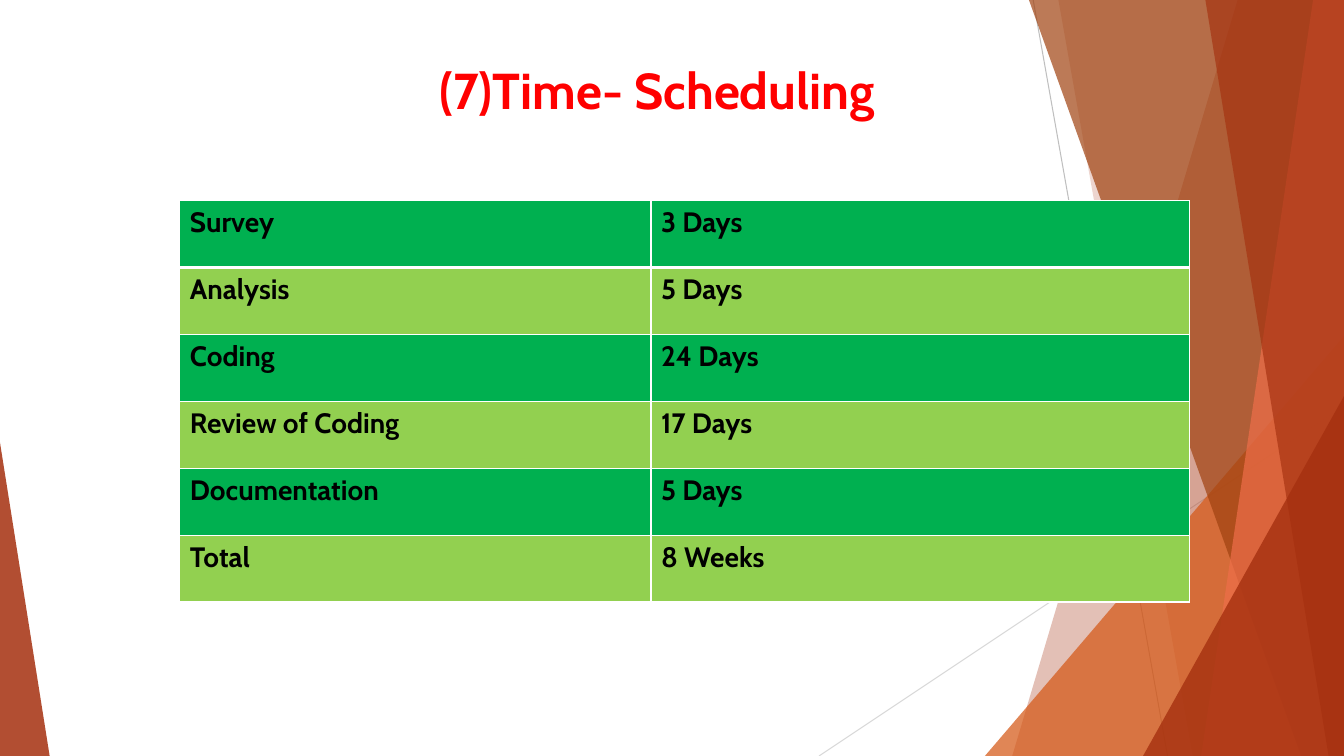
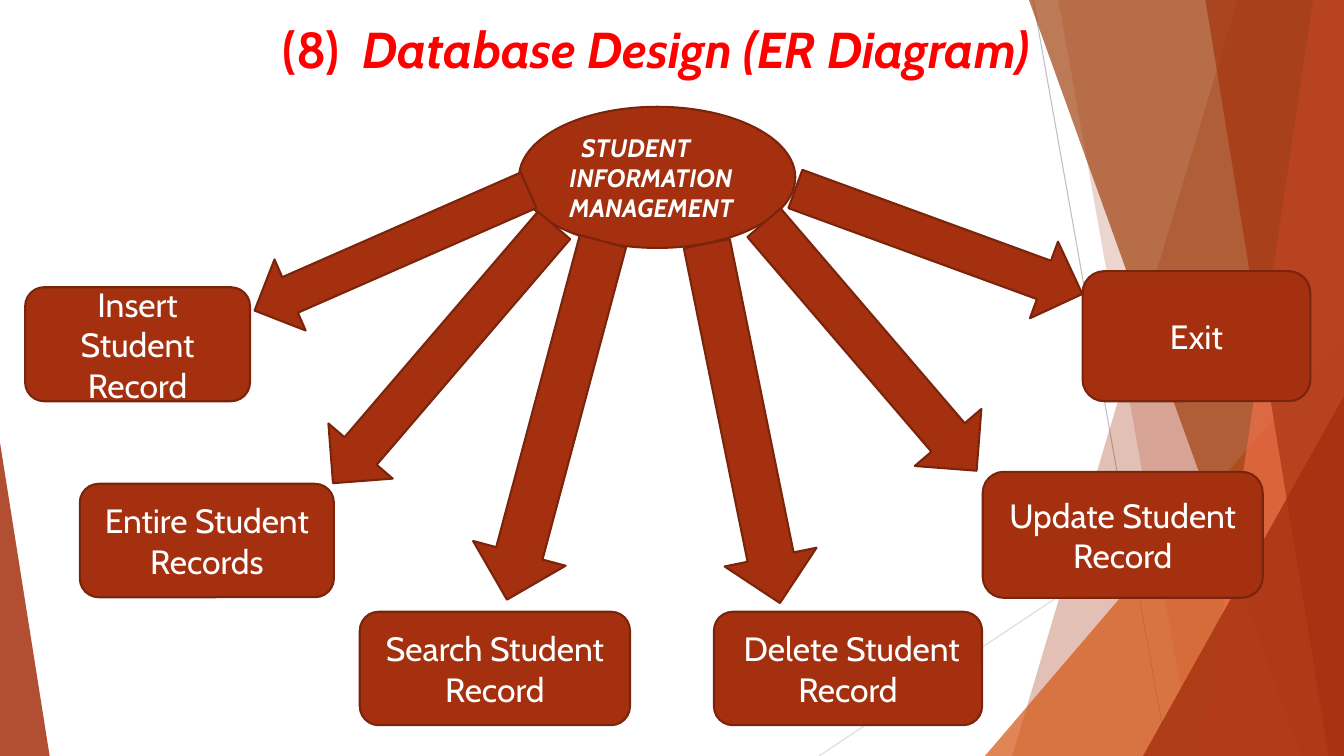
from dataclasses import dataclass
from typing import NamedTuple

from lxml import etree
from pptx import Presentation
from pptx.dml.color import RGBColor
from pptx.enum.shapes import MSO_CONNECTOR, MSO_SHAPE
from pptx.enum.text import MSO_ANCHOR, PP_ALIGN
from pptx.oxml.ns import qn
from pptx.shapes.autoshape import Shape
from pptx.slide import Slide
from pptx.table import _Cell
from pptx.text.text import _Paragraph
from pptx.util import Pt

OVAL = MSO_SHAPE.OVAL
ROUND = MSO_SHAPE.ROUNDED_RECTANGLE
ARROW = MSO_SHAPE.DOWN_ARROW
WEDGE = MSO_SHAPE.ISOSCELES_TRIANGLE
LINE = MSO_CONNECTOR.STRAIGHT
LEFT, MID = PP_ALIGN.LEFT, PP_ALIGN.CENTER
MIDDLE, TOP = MSO_ANCHOR.MIDDLE, MSO_ANCHOR.TOP


# Theme
@dataclass(frozen=True)
class Theme:
    wide: float = 960
    high: float = 540
    font: str = "Cabin"
    red: str = "FF0000"
    black: str = "000000"
    white: str = "FFFFFF"
    rust: str = "A5300F"
    edge: str = "7A240B"
    orange: str = "D55816"
    brown: str = "A04210"
    coral: str = "EE6E4A"
    green: str = "00B050"
    lime: str = "92D050"
    grey: str = "BFBFBF"
    pale: str = "D9D9D9"
    title: float = 36
    box: float = 24
    cell: float = 20
    hub: float = 18
    thin: float = 0.75
    rim: float = 1.5


T = Theme()


# Records
class Ray(NamedTuple):
    x1: float
    y1: float
    x2: float
    y2: float
    color: str


class Band(NamedTuple):
    """Area from a slanted edge to the right side of the slide."""
    top: float
    foot: float
    color: str
    alpha: int


class Wedge(NamedTuple):
    """Right triangle that stands on the bottom of the slide."""
    left: float
    top: float
    width: float
    peak: int
    color: str
    alpha: int


class Node(NamedTuple):
    text: str
    left: float
    top: float
    width: float
    height: float


class Arrow(NamedTuple):
    left: float
    top: float
    width: float
    height: float
    turn: float


class Run(NamedTuple):
    text: str
    italic: bool = False


# Content
RAYS = [
    Ray(738, 0, 834, T.high, T.grey),
    Ray(T.wide, 290, 585, T.high, T.pale),
]
FACETS: list[Band | Wedge] = [
    Band(884, 723, T.rust, 30),
    Band(756, 852, T.rust, 20),
    Wedge(703.5, 240, 256.5, 1, T.orange, 72),
    Band(735, 929.5, T.brown, 70),
    Band(938, 858, T.coral, 70),
    Band(861, 949, T.rust, 65),
    Wedge(816.5, 283, 143.5, 1, T.rust, 80),
    Wedge(0, 316, 35.5, 0, T.rust, 85),
]
TASKS = [
    ("Survey", "3 Days"),
    ("Analysis", "5 Days"),
    ("Coding", "24 Days"),
    ("Review of Coding", "17 Days"),
    ("Documentation", "5 Days"),
    ("Total", "8 Weeks"),
]
HUB = Node("STUDENT INFORMATION MANAGEMENT", 370.8, 76.3, 197.3, 100.8)
NODES = [
    Node("Insert Student Record", 18, 205.2, 160.6, 81.4),
    Node("Entire Student Records", 57, 345.6, 181.5, 81),
    Node("Search Student Record", 257, 437, 193, 81),
    Node(" Delete Student Record", 510, 437, 191.5, 81),
    Node("Update Student Record", 702, 337, 200, 90),
    Node("Exit", 773.3, 193.7, 162.7, 92.9),
]
ARROWS = [
    Arrow(252, 72, 55.4, 213.8, 66.3),
    Arrow(286.6, 131.8, 60.5, 242.6, 40.6),
    Arrow(362.2, 167.8, 68.4, 265, 15),
    Arrow(497.5, 171.4, 67, 262, 348.5),
    Arrow(590.4, 131, 62.6, 233.3, 319.4),
    Arrow(641.5, 63.4, 58.3, 218.2, 290.1),
]


# Helpers
def rgb(code: str) -> RGBColor:
    return RGBColor.from_string(code)


def apply(item: object, form: dict) -> None:
    for key, val in form.items():
        setattr(item, key, val)


def write(para: _Paragraph, text: str, color: str, size: float, **form: bool) -> None:
    run = para.add_run()
    run.text = text
    apply(run.font, {"name": T.font, "size": Pt(size), **form})
    run.font.color.rgb = rgb(color)


def paint(shape: Shape, color: str, alpha: int = 100, edge: str = "") -> None:
    shape.shadow.inherit = False
    shape.fill.solid()
    shape.fill.fore_color.rgb = rgb(color)
    if alpha < 100:
        tint = shape._element.spPr.find(qn("a:solidFill"))[0]
        etree.SubElement(tint, qn("a:alpha"), val=str(alpha * 1000))
    if edge:
        shape.line.color.rgb = rgb(edge)
        shape.line.width = Pt(T.rim)
    else:
        shape.line.fill.background()


def rule(cell: _Cell, widths: dict[str, float]) -> None:
    props = cell._tc.get_or_add_tcPr()
    for spot, (side, width) in enumerate(widths.items()):
        line = etree.Element(qn(f"a:{side}"), w=str(Pt(width)))
        fill = etree.SubElement(line, qn("a:solidFill"))
        etree.SubElement(fill, qn("a:srgbClr"), val=T.white)
        props.insert(spot, line)


# Shared parts
def add_ray(slide: Slide, ray: Ray) -> None:
    line = slide.shapes.add_connector(LINE, Pt(ray.x1), Pt(ray.y1), Pt(ray.x2), Pt(ray.y2))
    line.line.color.rgb = rgb(ray.color)
    line.line.width = Pt(T.thin)
    etree.SubElement(line._element.spPr, qn("a:effectLst"))


def add_band(slide: Slide, band: Band) -> None:
    path = slide.shapes.build_freeform(Pt(band.top), 0)
    ends = [(T.wide, 0), (T.wide, T.high), (band.foot, T.high)]
    path.add_line_segments([(Pt(x), Pt(y)) for x, y in ends], close=True)
    paint(path.convert_to_shape(), band.color, band.alpha)


def add_wedge(slide: Slide, wedge: Wedge) -> None:
    shape = slide.shapes.add_shape(
        WEDGE, Pt(wedge.left), Pt(wedge.top), Pt(wedge.width), Pt(T.high - wedge.top))
    shape.adjustments[0] = wedge.peak
    paint(shape, wedge.color, wedge.alpha)


def add_title(slide: Slide, left: float, top: float, runs: list[Run]) -> None:
    box = slide.shapes.add_textbox(Pt(left), Pt(top), Pt(T.wide - left), Pt(60))
    apply(box.text_frame, {"word_wrap": True, "vertical_anchor": TOP})
    for run in runs:
        write(box.text_frame.paragraphs[0], run.text, T.red, T.title,
              bold=True, italic=run.italic)


def add_page(deck: Presentation, left: float, top: float, runs: list[Run]) -> Slide:
    slide = deck.slides.add_slide(deck.slide_layouts[6])
    for ray in RAYS:
        add_ray(slide, ray)
    for facet in FACETS:
        if isinstance(facet, Band):
            add_band(slide, facet)
        else:
            add_wedge(slide, facet)
    add_title(slide, left, top, runs)
    return slide


# Schedule table
def add_tasks(slide: Slide) -> None:
    cols, tall = (336.5, 384.5), 47.8
    table = slide.shapes.add_table(
        len(TASKS), len(cols), Pt(128.5), Pt(143.3),
        Pt(sum(cols)), Pt(tall * len(TASKS))).table
    for col, width in zip(table.columns, cols):
        col.width = Pt(width)
    for row, task in enumerate(TASKS):
        table.rows[row].height = Pt(tall)
        for col, text in enumerate(task):
            cell = table.cell(row, col)
            cell.fill.solid()
            cell.fill.fore_color.rgb = rgb(T.lime if row % 2 else T.green)
            write(cell.text_frame.paragraphs[0], text, T.black, T.cell, bold=True)
            rule(cell, {"lnL": 1, "lnR": 1, "lnT": 3 if row == 1 else 1,
                        "lnB": 3 if row == 0 else 1})


# Diagram parts
def add_node(slide: Slide, node: Node, kind: MSO_SHAPE, size: float,
             align: PP_ALIGN, **form: bool) -> _Paragraph:
    shape = slide.shapes.add_shape(
        kind, Pt(node.left), Pt(node.top), Pt(node.width), Pt(node.height))
    paint(shape, T.rust, edge=T.edge)
    apply(shape.text_frame, {"word_wrap": True, "vertical_anchor": MIDDLE})
    para = shape.text_frame.paragraphs[0]
    para.alignment = align
    write(para, node.text, T.white, size, **form)
    return para


def add_arrow(slide: Slide, arrow: Arrow) -> None:
    shape = slide.shapes.add_shape(
        ARROW, Pt(arrow.left), Pt(arrow.top), Pt(arrow.width), Pt(arrow.height))
    shape.rotation = arrow.turn
    paint(shape, T.rust, edge=T.edge)


def main() -> None:
    deck = Presentation()
    apply(deck, {"slide_width": Pt(T.wide), "slide_height": Pt(T.high)})

    plan = add_page(deck, 306.7, 39, [Run("(7)Time- Scheduling")])
    add_tasks(plan)

    chart = add_page(deck, 195, 9.4, [
        Run("(8)  "), Run("Database Design (ER Diagram)", True)])
    para = add_node(chart, HUB, OVAL, T.hub, LEFT, bold=True, italic=True)
    para._p.get_or_add_pPr().set("indent", str(Pt(8.5)))
    for node in NODES:
        add_node(chart, node, ROUND, T.box, MID)
    for arrow in ARROWS:
        add_arrow(chart, arrow)

    deck.save("out.pptx")


if __name__ == "__main__":
    main()
